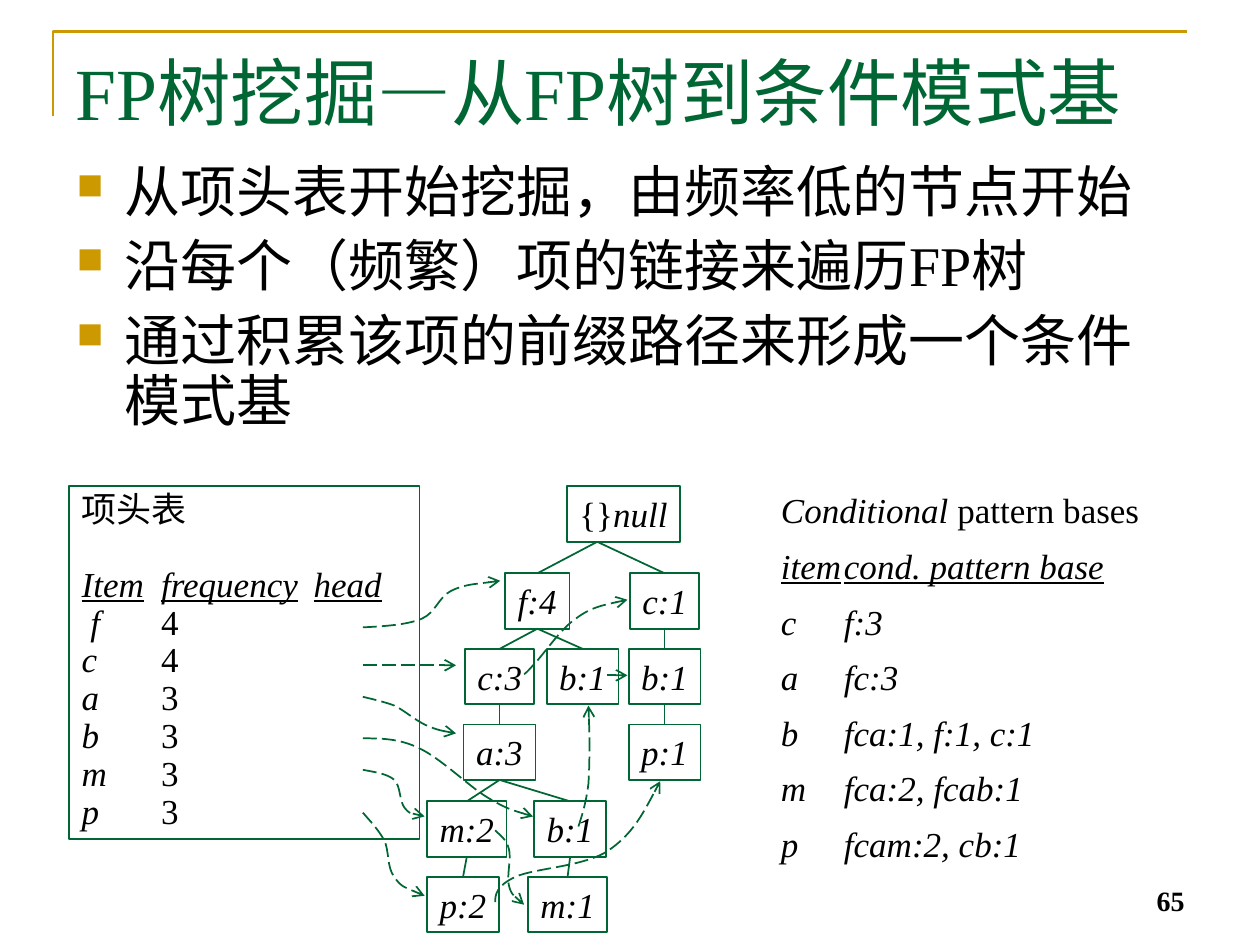
from lxml import etree
from pptx import Presentation
from pptx.dml.color import RGBColor
from pptx.enum.dml import MSO_LINE
from pptx.enum.shapes import MSO_CONNECTOR, MSO_SHAPE
from pptx.enum.text import MSO_ANCHOR, PP_ALIGN
from pptx.oxml.ns import qn
from pptx.util import Inches, Pt

STRAIGHT, RECTANGLE = MSO_CONNECTOR.STRAIGHT, MSO_SHAPE.RECTANGLE
LONG_DASH = MSO_LINE.LONG_DASH
TOP, MIDDLE, BOTTOM = MSO_ANCHOR.TOP, MSO_ANCHOR.MIDDLE, MSO_ANCHOR.BOTTOM
LEFT, RIGHT = PP_ALIGN.LEFT, PP_ALIGN.RIGHT
COLORS = {"green": "006633", "gold": "CC9900", "black": "000000", "white": "FFFFFF"}
FONT = "Times New Roman"
COLUMNS, ROWS = 100, 75
NODE_HEIGHT = 4.4
LEVELS = [38.6, 45.5, 51.5, 57.5, 63.6, 69.6]

NODES = {
    "root": (45, 0, 9, [("{}", ""), ("null", "i")]),
    "f4": (40.1, 1, 5.1, [("f:4", "i")]),
    "c1": (50, 1, 5.5, [("c:1", "i")]),
    "c3": (36.9, 2, 5.5, [("c:3", "i")]),
    "b1 left": (43.4, 2, 5.7, [("b:1", "i")]),
    "b1 right": (49.9, 2, 5.7, [("b:1", "i")]),
    "a3": (36.8, 3, 5.7, [("a:3", "i")]),
    "p1": (49.9, 3, 5.7, [("p:1", "i")]),
    "m2": (33.9, 4, 6.3, [("m:2", "i")]),
    "b1 low": (42.4, 4, 5.7, [("b:1", "i")]),
    "p2": (33.9, 5, 5.7, [("p:2", "i")]),
    "m1": (41.9, 5, 6.3, [("m:1", "i")]),
}
EDGES = [
    ("root", "f4"), ("root", "c1"), ("f4", "c3"), ("f4", "b1 left"),
    ("c1", "b1 right"), ("b1 right", "p1"), ("c3", "a3"), ("a3", "m2"),
    ("a3", "b1 low"), ("m2", "p2"), ("b1 low", "m1"),
]
STRAIGHT_LINKS = [((28.8, 52.8), (36.2, 52.8)), ((48.2, 53.6), (49.8, 53.6))]
CURVED_LINKS = [
    [(28.8, 49.8), (30.6, 49.7), (32.3, 49.6), (33.5, 49.1), (34.6, 48.6),
     (34.8, 47.4), (35.8, 46.9), (36.8, 46.4), (38.3, 46.3), (39.7, 46.1)],
    [(41.6, 53.5), (41.6, 53.5), (41.7, 53.5), (42.4, 52.7), (43.1, 52),
     (44.5, 49.9), (45.7, 49.1), (46.9, 48.2), (48.4, 47.9), (49.8, 47.6)],
    [(28.8, 55.3), (29.6, 55.5), (30.5, 55.7), (31.3, 56), (32.1, 56.4),
     (32.9, 57.1), (33.7, 57.5), (34.6, 57.9), (35.4, 58.1), (36.2, 58.2)],
    [(28.8, 58.6), (30.2, 58.6), (31.7, 58.6), (33.3, 59.4), (35, 60.2),
     (37.2, 62.4), (38.7, 63.3), (40.2, 64.2), (41.3, 64.5), (42.3, 64.8)],
    [(45.9, 65.6), (46.2, 64.7), (46.5, 63.8), (46.7, 62.2), (46.8, 60.5),
     (46.8, 58.3), (46.7, 56)],
    [(28.8, 61.1), (29.8, 61.3), (30.7, 61.4), (31.3, 61.9), (31.8, 62.4),
     (31.7, 63.6), (32.1, 64.1), (32.5, 64.6), (33.1, 64.7), (33.7, 64.8)],
    [(39.3, 65.9), (39.7, 66.3), (40.2, 66.6), (40.4, 67.4), (40.6, 68.1),
     (40.2, 69.6), (40.4, 70.3), (40.6, 71), (41.1, 71.4), (41.6, 71.8)],
    [(28.8, 64.5), (29.4, 65.2), (30, 65.8), (30.5, 66.7), (30.9, 67.5),
     (30.7, 68.9), (31.3, 69.6), (31.8, 70.4), (32.8, 70.7), (33.7, 71.1)],
    [(39.3, 71.6), (39.3, 71), (39.4, 70.3), (40.9, 69.6), (42.4, 68.9),
     (46.4, 68.8), (48.3, 67.5), (50.2, 66.2), (51.3, 64.1), (52.4, 62)],
]
BULLETS = [
    "从项头表开始挖掘，由频率低的节点开始",
    "沿每个（频繁）项的链接来遍历FP树",
    "通过积累该项的前缀路径来形成一个条件模式基",
]
FREQUENCIES = [(" f", 4), ("c", 4), ("a", 3), ("b", 3), ("m", 3), ("p", 3)]
PATTERN_BASES = [
    ("c", "f:3"), ("a", "fc:3"), ("b", "fca:1, f:1, c:1"),
    ("m", "fca:2, fcab:1"), ("p", "fcam:2, cb:1"),
]


class SlideBuilder:
    """Holds the style and the current slide, and adds elements on the grid."""

    def __init__(self, presentation):
        self.column = presentation.slide_width / COLUMNS
        self.row = presentation.slide_height / ROWS
        self.slide = presentation.slides.add_slide(presentation.slide_layouts[5])
        self.shapes = self.slide.shapes
        self.slide.background.fill.solid()
        self.slide.background.fill.fore_color.rgb = self.color("white")

    def color(self, name):
        return RGBColor.from_string(COLORS[name])

    def point(self, x, y):
        return round(x * self.column), round(y * self.row)

    def stroke(self, shape, color="green", width=1, dashed=False, arrow=False):
        shape.line.color.rgb = self.color(color)
        shape.line.width = Pt(width)
        if dashed:
            shape.line.dash_style = LONG_DASH
        if arrow:
            line = shape.line._get_or_add_ln()
            etree.SubElement(line, qn("a:tailEnd"), type="arrow")

    def paragraph(self, frame, runs, size=20, color="black", spacing=None,
                  before=0, align=LEFT, tabs=(), bullet=False):
        paragraph = frame.paragraphs[0]
        if paragraph.runs:
            paragraph = frame.add_paragraph()
        paragraph.alignment, paragraph.space_before = align, Pt(before)
        if spacing:
            paragraph.line_spacing = spacing
        properties = paragraph._p.get_or_add_pPr()
        if bullet:
            properties.set("marL", str(Inches(0.38)))
            properties.set("indent", str(-Inches(0.38)))
            tint = etree.SubElement(properties, qn("a:buClr"))
            etree.SubElement(tint, qn("a:srgbClr"), val=COLORS["gold"])
            etree.SubElement(properties, qn("a:buSzPct"), val="65000")
            etree.SubElement(properties, qn("a:buChar"), char="■")
        if tabs:
            stops = etree.SubElement(properties, qn("a:tabLst"))
            for stop in tabs:
                etree.SubElement(stops, qn("a:tab"), pos=str(Inches(stop)), algn="l")
        for text, style in runs:
            run = paragraph.add_run()
            run.text = text
            font = run.font
            font.name, font.size, font.color.rgb = FONT, Pt(size), self.color(color)
            font.bold, font.italic, font.underline = (key in style for key in "biu")

    def title(self, text, x, y, width, height):
        title = self.shapes.title
        title.left, title.top = self.point(x, y)
        title.width, title.height = self.point(width, height)
        title.text_frame.vertical_anchor = MIDDLE
        self.paragraph(title.text_frame, [(text, "")], 42, "green")

    def text(self, x, y, width, height, anchor=TOP):
        box = self.shapes.add_textbox(*self.point(x, y), *self.point(width, height))
        box.text_frame.word_wrap = True
        box.text_frame.vertical_anchor = anchor
        return box.text_frame

    def box(self, x, y, width, height, wrap=True):
        box = self.shapes.add_shape(
            RECTANGLE, *self.point(x, y), *self.point(width, height))
        box.shadow.inherit = False
        box.fill.background()
        self.stroke(box)
        box.text_frame.word_wrap = wrap
        box.text_frame.vertical_anchor = TOP
        return box.text_frame

    def line(self, start, end, **style):
        line = self.shapes.add_connector(
            STRAIGHT, *self.point(*start), *self.point(*end))
        etree.SubElement(line._element.spPr, qn("a:effectLst"))
        self.stroke(line, **style)

    def outline(self, points, **style):
        start, *rest = [self.point(*point) for point in points]
        builder = self.shapes.build_freeform(*start)
        builder.add_line_segments(rest, close=False)
        shape = builder.convert_to_shape()
        shape.shadow.inherit = False
        shape.fill.background()
        self.stroke(shape, **style)
        return shape

    def curve(self, points, **style):
        shape = self.outline(points, **style)
        segments = list(shape._element.iter(qn("a:lnTo")))
        for first in range(0, len(segments), 3):
            bezier, *others = segments[first:first + 3]
            bezier.tag = qn("a:cubicBezTo")
            for other in others:
                bezier.append(other[0])
                other.getparent().remove(other)


def main():
    presentation = Presentation()
    presentation.slide_width, presentation.slide_height = Inches(10), Inches(7.5)
    builder = SlideBuilder(presentation)
    builder.outline([(4.2, 9.2), (4.2, 2.5), (94.2, 2.5)], color="gold", width=1.5)
    builder.title("FP树挖掘—从FP树到条件模式基", 5, 3, 90, 8.5)

    body = builder.text(5.1, 12.5, 90, 24.4)
    for text in BULLETS:
        builder.paragraph(body, [(text, "")], 32, spacing=0.9, before=8, bullet=True)
    number = builder.text(71.7, 68.3, 23.3, 5, BOTTOM)
    builder.paragraph(number, [("65", "b")], 16, align=RIGHT)

    for x, level, width, runs in NODES.values():
        node = builder.box(x, LEVELS[level], width, NODE_HEIGHT, wrap=False)
        builder.paragraph(node, runs)
    for parent, child in EDGES:
        (x, level, width, _), (child_x, child_level, child_width, _) = (
            NODES[parent], NODES[child])
        start_x = 47.4 if parent == "root" else x + width / 2
        builder.line((start_x, LEVELS[level] + NODE_HEIGHT),
                     (child_x + child_width / 2, LEVELS[child_level]))

    header = builder.box(5.5, 38.6, 27.8, 28)
    builder.paragraph(header, [("项头表", "")], spacing=0.9)
    builder.paragraph(header, [("Item\tfrequency\thead", "iu")], spacing=0.9,
                      before=21, tabs=(0.63, 1.84))
    for item, count in FREQUENCIES:
        builder.paragraph(header, [(f"{item}\t", "i"), (str(count), "")], spacing=0.9)

    for start, end in STRAIGHT_LINKS:
        builder.line(start, end, dashed=True, arrow=True)
    for points in CURVED_LINKS:
        builder.curve(points, dashed=True, arrow=True)

    bases = builder.text(61, 38.3, 36.4, 30.8)
    builder.paragraph(bases, [("Conditional ", "i"), ("pattern bases", "")], before=12.5)
    builder.paragraph(bases, [("item", "iu"), ("\t", "i"), ("cond. pattern base", "iu")],
                      spacing=0.8, before=12.5)
    for item, base in PATTERN_BASES:
        builder.paragraph(bases, [(f"{item}\t{base}", "i")], spacing=0.8, before=12.5)
    presentation.save("out.pptx")


if __name__ == "__main__":
    main()
